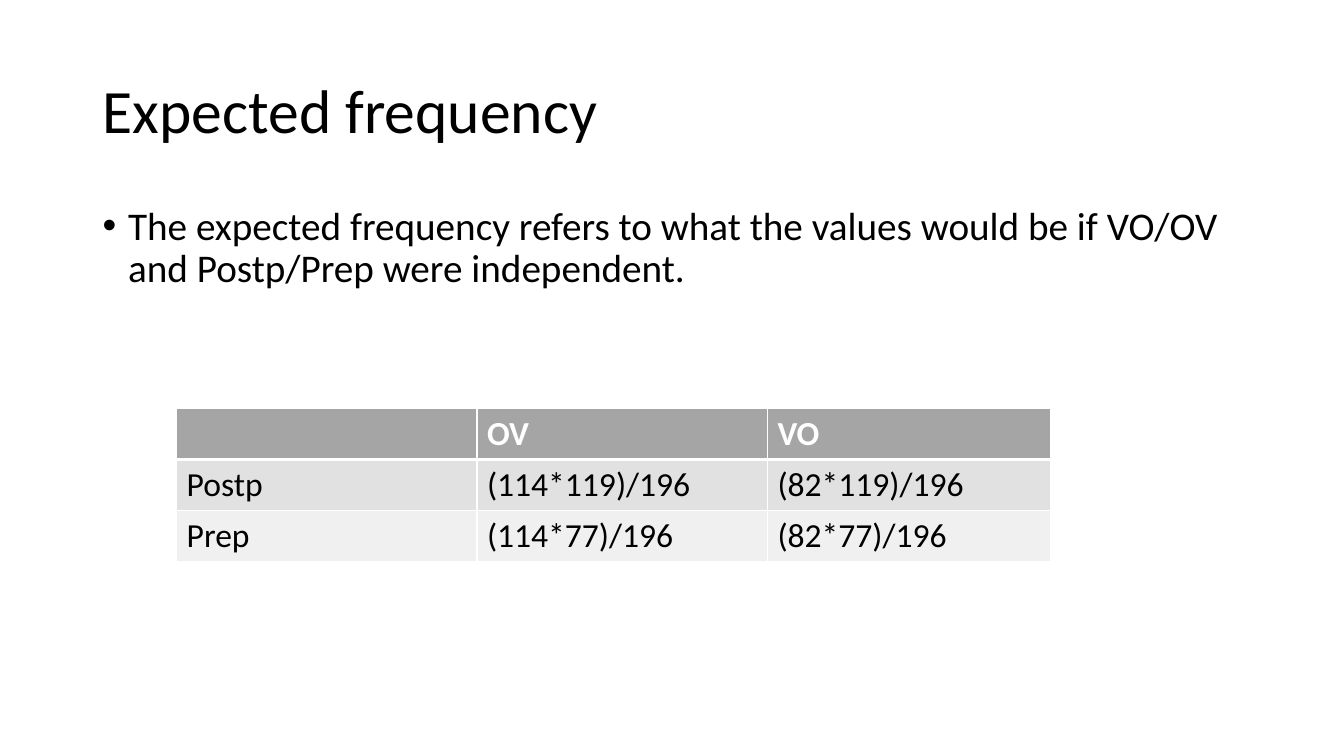
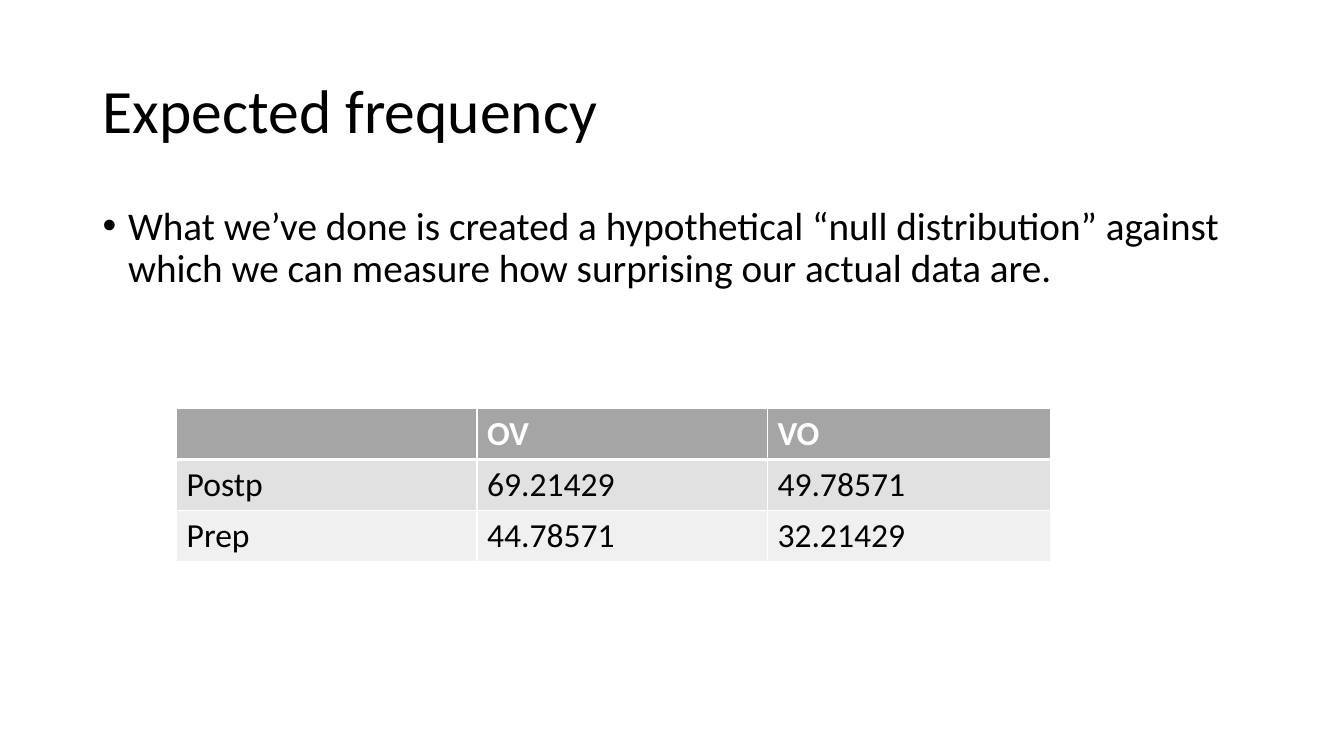
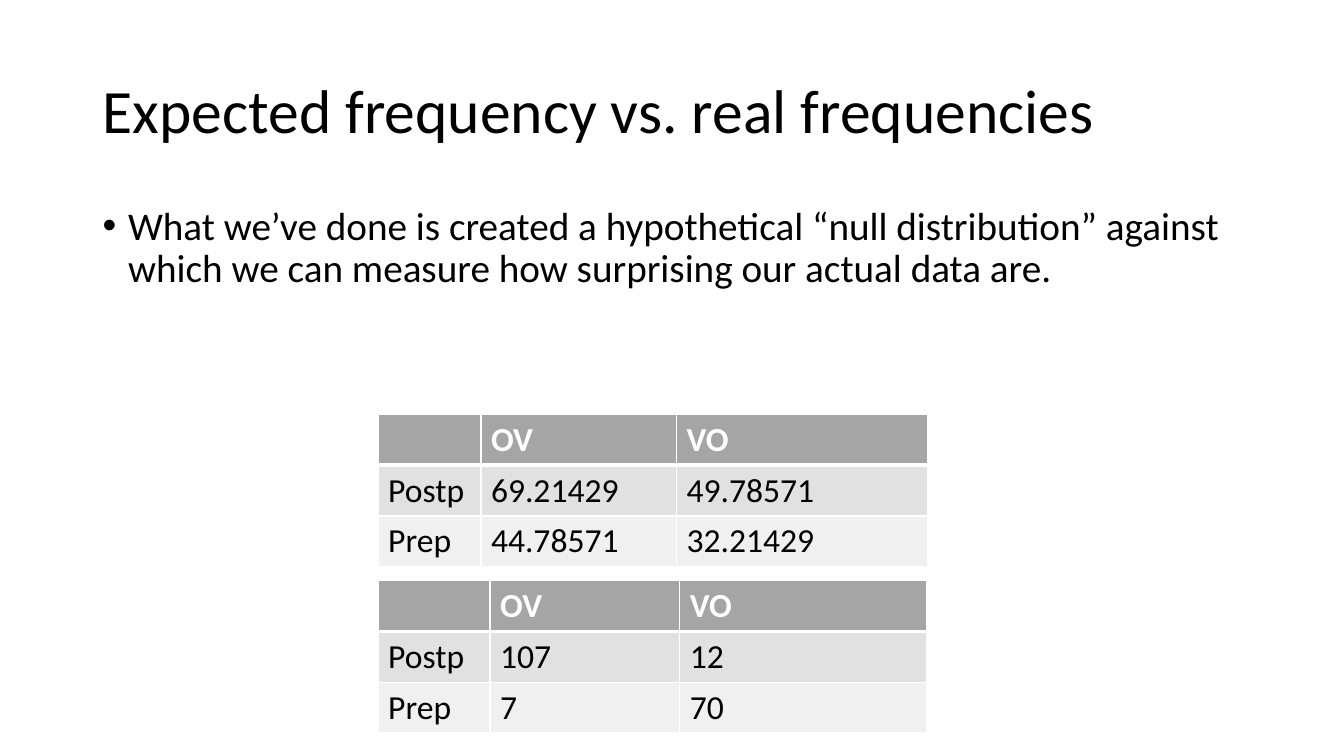
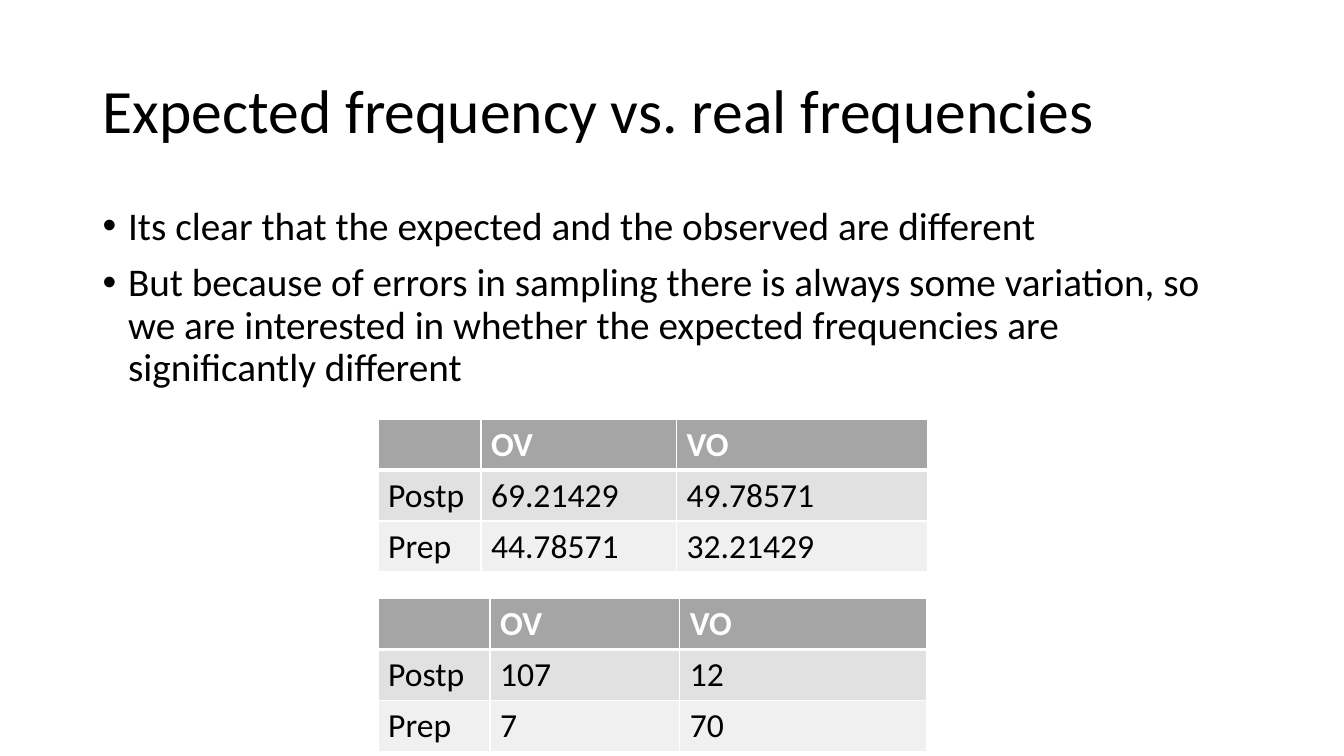
from lxml import etree
from pptx import Presentation
from pptx.dml.color import RGBColor
from pptx.enum.text import MSO_ANCHOR, MSO_AUTO_SIZE, PP_ALIGN
from pptx.oxml.ns import qn
from pptx.util import Cm, Pt

LEFT = PP_ALIGN.LEFT
MIDDLE = MSO_ANCHOR.MIDDLE
NO_AUTOFIT = MSO_AUTO_SIZE.NONE

FONT = "Calibri"
BLACK = RGBColor(0x00, 0x00, 0x00)
WHITE = RGBColor(0xFF, 0xFF, 0xFF)
HEADER_GREY = RGBColor(0xA5, 0xA5, 0xA5)
BAND_GREYS = (RGBColor(0xE1, 0xE1, 0xE1), RGBColor(0xF0, 0xF0, 0xF0))

MARGIN, CONTENT_WIDTH = 2.34, 29.21
BULLET_INDENT = Cm(0.64)
ROW_HEIGHT = 1.28
WIDE_LEFT, NARROW_LEFT = 4.45, 9.53
WIDE_COLUMNS = (7.57, 7.32, 7.14)
EXPECTED_COLUMNS = (2.59, 4.93, 6.32)
OBSERVED_COLUMNS = (2.82, 4.78, 6.22)

FORMULAS = (("(114*119)/196", "(82*119)/196"), ("(114*77)/196", "(82*77)/196"))
EXPECTED = (("69.21429", "49.78571"), ("44.78571", "32.21429"))
OBSERVED = (("107", "12"), ("7", "70"))

NULL_DISTRIBUTION = (
    "What we’ve done is created a hypothetical “null distribution” against "
    "which we can measure how surprising our actual data are."
)


def write(p, text, size, color=BLACK, bold=False, line_spacing=None):
    p.alignment = LEFT
    if line_spacing:
        p.line_spacing = line_spacing
    r = p.add_run()
    r.text = text
    r.font.name = FONT
    r.font.size = Pt(size)
    r.font.bold = bold
    r.font.color.rgb = color


def add_bullet(p):
    pPr = p._p.get_or_add_pPr()
    pPr.set("marL", str(BULLET_INDENT))
    pPr.set("indent", str(-BULLET_INDENT))
    etree.SubElement(pPr, qn("a:buFont"), typeface="Arial")
    etree.SubElement(pPr, qn("a:buChar"), char="•")


def add_titled_slide(prs, title, bullets):
    s = prs.slides.add_slide(prs.slide_layouts[5])
    sp = s.shapes.title
    sp.left, sp.top = Cm(MARGIN), Cm(1.02)
    sp.width, sp.height = Cm(CONTENT_WIDTH), Cm(3.68)
    tf = sp.text_frame
    tf.auto_size = NO_AUTOFIT
    tf.vertical_anchor = MIDDLE
    write(tf.paragraphs[0], title, 44, line_spacing=0.9)

    body = s.shapes.add_textbox(Cm(MARGIN), Cm(5.08), Cm(CONTENT_WIDTH), Cm(5))
    tf = body.text_frame
    tf.word_wrap = True
    for i, text in enumerate(bullets):
        p = tf.add_paragraph() if i else tf.paragraphs[0]
        write(p, text, 28, line_spacing=0.9)
        p.space_before = Pt(10)
        add_bullet(p)
    return s


def set_borders(cell, top, bottom):
    tcPr = cell._tc.get_or_add_tcPr()
    for side, width in (("L", 1), ("R", 1), ("T", top), ("B", bottom)):
        ln = etree.SubElement(tcPr, qn("a:ln" + side), w=str(Pt(width)))
        fill = etree.SubElement(ln, qn("a:solidFill"))
        etree.SubElement(fill, qn("a:srgbClr"), val=str(WHITE))


def add_frequency_table(s, left, top, columns, values):
    rows = [("", "OV", "VO"), ("Postp", *values[0]), ("Prep", *values[1])]
    frame = s.shapes.add_table(
        len(rows), len(columns), Cm(left), Cm(top),
        Cm(sum(columns)), Cm(ROW_HEIGHT * len(rows)),
    )
    table = frame.table
    for column, width in zip(table.columns, columns):
        column.width = Cm(width)
    for i, row in enumerate(rows):
        header = i == 0
        table.rows[i].height = Cm(ROW_HEIGHT)
        for j, text in enumerate(row):
            cell = table.cell(i, j)
            set_borders(cell, top=3 if i == 1 else 1, bottom=3 if header else 1)
            cell.fill.solid()
            cell.fill.fore_color.rgb = HEADER_GREY if header else BAND_GREYS[i - 1]
            if text:
                write(cell.text_frame.paragraphs[0], text, 24,
                      color=WHITE if header else BLACK, bold=header)


def add_comparison(s, expected_top, observed_top):
    add_frequency_table(s, NARROW_LEFT, expected_top, EXPECTED_COLUMNS, EXPECTED)
    add_frequency_table(s, NARROW_LEFT, observed_top, OBSERVED_COLUMNS, OBSERVED)


def main():
    prs = Presentation()
    prs.slide_width, prs.slide_height = Cm(33.87), Cm(19.05)

    s = add_titled_slide(prs, "Expected frequency", [
        "The expected frequency refers to what the values would be if VO/OV "
        "and Postp/Prep were independent.",
    ])
    add_frequency_table(s, WIDE_LEFT, 10.3, WIDE_COLUMNS, FORMULAS)

    s = add_titled_slide(prs, "Expected frequency", [NULL_DISTRIBUTION])
    add_frequency_table(s, WIDE_LEFT, 10.3, WIDE_COLUMNS, EXPECTED)

    comparison_title = "Expected frequency vs. real frequencies"
    s = add_titled_slide(prs, comparison_title, [NULL_DISTRIBUTION])
    add_comparison(s, 10.44, 14.63)

    s = add_titled_slide(prs, comparison_title, [
        "Its clear that the expected and the observed are different",
        "But because of errors in sampling there is always some variation, so "
        "we are interested in whether the expected frequencies are "
        "significantly different",
    ])
    add_comparison(s, 10.57, 15.09)

    prs.save("out.pptx")


if __name__ == "__main__":
    main()
